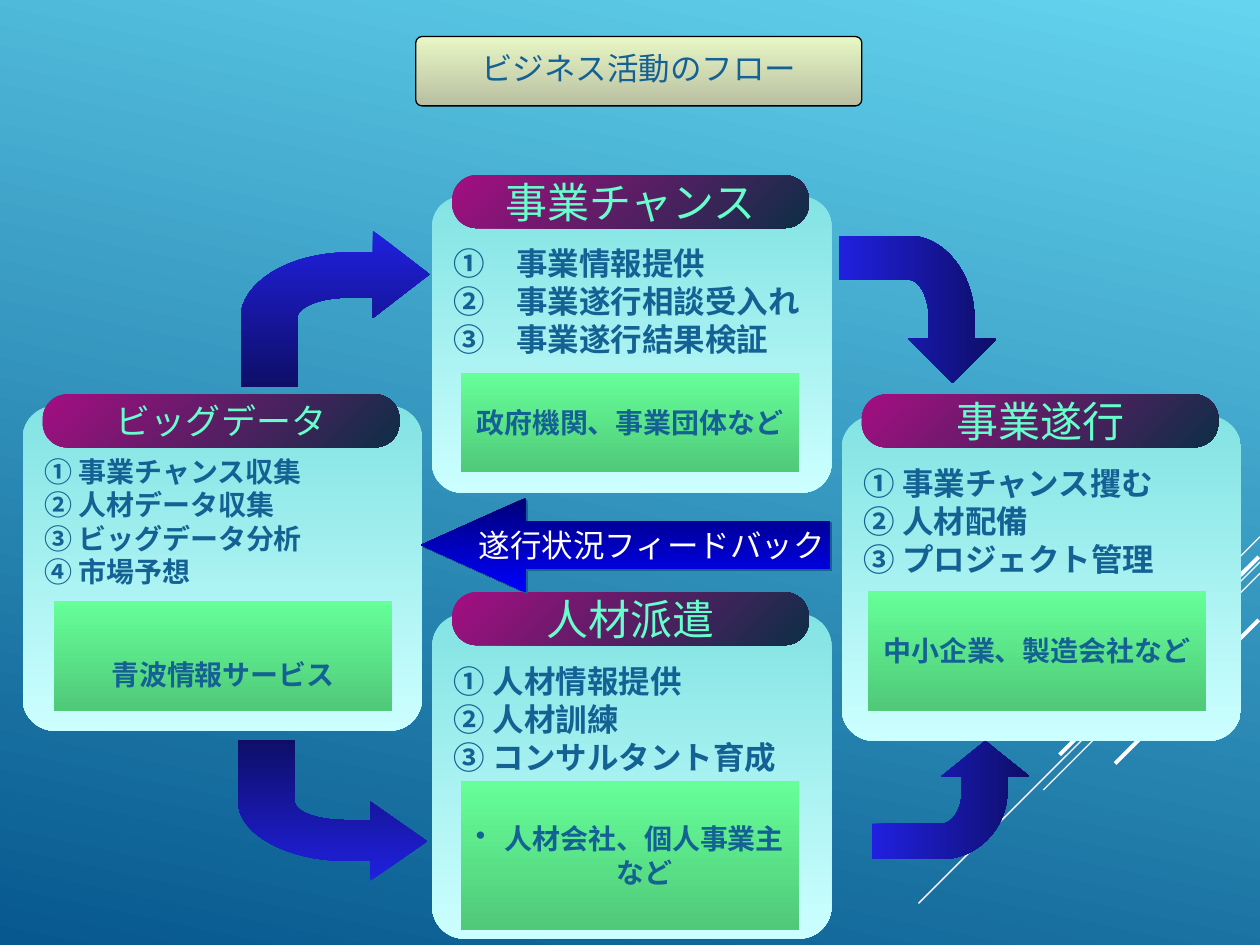
from lxml import etree
from pptx import Presentation, util as u
from pptx.dml.color import RGBColor
from pptx.enum import shapes, text
from pptx.oxml.ns import qn

hues = {
    "sky": ("64D4EF", "06588E"), "card": ("83E3E3", "CCFFFF"),
    "pill": ("A50E82", "0D2E46"), "green": ("66FF99", "50C979"),
    "bend": ("2020E0", "0E0E68"), "back": ("000076", "0000FF"),
    "title": ("E8F7C5", "B9BFA1"),
    "ink": "146194", "mint": "66FFCC", "white": "FFFFFF", "black": "000000",
}
sans, serif = "Noto Sans CJK JP", "Times New Roman"
kind = shapes.MSO_SHAPE
mid, top = text.MSO_ANCHOR.MIDDLE, text.MSO_ANCHOR.TOP

deck = Presentation()
deck.slide_width, deck.slide_height = u.Inches(10), u.Inches(7.5)
col, row = deck.slide_width / 100, deck.slide_height / 75
slide = deck.slides.add_slide(deck.slide_layouts[6])
items = slide.shapes


def paint(fill, pair, turn):
    fill.gradient()
    fill.gradient_angle = (360 - turn) % 360
    for stop, hue in zip(fill.gradient_stops, pair):
        stop.color.rgb = RGBColor.from_string(hue)


def block(form, x, y, w, h, tone, lines, size, ink="ink", turn=90, adj=(),
          face=sans, bold=False, wrap=True, anchor=mid, pad=0.05):
    shape = items.add_shape(form, int(x * col), int(y * row), int(w * col), int(h * row))
    for n, val in enumerate(adj):
        shape.adjustments[n] = val
    paint(shape.fill, hues[tone], turn)
    shape.line.fill.background()
    shape.shadow.inherit = False
    frame = shape.text_frame
    frame.text = "\n".join(lines)
    frame.word_wrap = wrap
    frame.vertical_anchor = anchor
    frame.margin_top = u.Inches(pad)
    for para in frame.paragraphs:
        para.alignment = text.PP_ALIGN.LEFT if anchor == top else text.PP_ALIGN.CENTER
        for run in para.runs:
            font = run.font
            font.size, font.bold, font.name = u.Pt(size), bold, face
            font.color.rgb = RGBColor.from_string(hues[ink])
            etree.SubElement(font._element, qn("a:ea")).set("typeface", sans)
    return shape


paint(slide.background.fill, hues["sky"], 102)

rays = [
    (100, 42.6, 91.7, 50.9, 0.75), (100, 44.6, 72.9, 71.7, 0.75),
    (100, 45.5, 82.8, 62.7, 0.75), (99.9, 44.2, 84.1, 59.9, 2.25),
    (99.9, 49.2, 88.5, 60.6, 2.25),
]
for x, y, x2, y2, wide in rays:
    ray = items.add_connector(shapes.MSO_CONNECTOR.STRAIGHT, int(x * col), int(y * row),
                              int(x2 * col), int(y2 * row))
    ray.line.color.rgb = RGBColor.from_string(hues["white"])
    ray.line.width = u.Pt(wide)
    etree.SubElement(ray._element.spPr, qn("a:effectLst"))

cards = [
    (34.3, 15.6, 23.5, 1.7, "事業チャンス", 24, serif, 18,
     ["①　事業情報提供", "②　事業遂行相談受入れ", "③　事業遂行結果検証"]),
    (66.8, 33, 25.8, 1.7, "事業遂行", 24, serif, 18,
     ["① 事業チャンス攫む", "② 人材配備", "③ プロジェクト管理"]),
    (34.3, 48.7, 25.8, 1.7, "人材派遣", 24, sans, 18,
     ["① 人材情報提供", "② 人材訓練", "③ コンサルタント育成"]),
    (1.8, 32.2, 25.8, 0.9, "ビッグデータ", 20, serif, 16,
     ["① 事業チャンス収集", "② 人材データ収集", "③ ビッグデータ分析", "④ 市場予想"]),
]
for x, y, h, lift, head, big, face, size, lines in cards:
    block(kind.ROUNDED_RECTANGLE, x, y, 31.7, h, "card", lines, size,
          adj=[0.1], face=face, bold=True, anchor=top, pad=0.31)
    block(kind.ROUNDED_RECTANGLE, x + 1.6, y - lift, 28.3, 4.2, "pill", [head], big,
          ink="mint", turn=45, adj=[0.46], wrap=False)

curve = [(1, 0.28), (0.7, 0), (0.7, 0.14)]
bows = [
    [(0.57, 0.14), (0.26, 0.14), (0, 0.33), (0, 0.56)],
    [(0.3, 0.56), (0.3, 0.49), (0.42, 0.43), (0.57, 0.43)],
]
steps = 16
for n, bow in enumerate(bows):
    for k in range(steps + 1):
        t = k / steps
        parts = ((1 - t) ** 3, 3 * t * (1 - t) ** 2, 3 * t * t * (1 - t), t ** 3)
        curve.append(tuple(sum(p * q[i] for p, q in zip(parts, bow)) for i in (0, 1)))
    curve += [[(0, 1), (0.3, 1)], [(0.7, 0.43), (0.7, 0.56)]][n]

bends = [
    (79.1, 18.7, (0, 11.7), (-12.5, 0), 0),
    (19.1, 18.3, (15, 0), (0, 12.4), 90),
    (18.9, 69.9, (15, 0), (0, -11.2), 270),
    (81.7, 68.2, (0, -9.4), (-12.5, 0), 0),
]
for x, y, along, over, turn in bends:
    dots = [((x + a * along[0] + b * over[0]) * col, (y + a * along[1] + b * over[1]) * row)
            for a, b in curve]
    pen = items.build_freeform(*dots[0])
    pen.add_line_segments(dots[1:], close=True)
    bend = pen.convert_to_shape()
    paint(bend.fill, hues["bend"], turn)
    bend.line.fill.background()
    bend.shadow.inherit = False

greens = [
    (36.6, 29.6, 7.9, "政府機関、事業団体など", 0.05),
    (68.9, 46.9, 9.5, "中小企業、製造会社など", 0.05),
    (4.3, 47.7, 8.7, "青波情報サービス", 0.34),
    (36.6, 62, 11.8, "人材会社、個人事業主など", 0.05),
]
for x, y, h, words, pad in greens:
    green = block(kind.RECTANGLE, x, y, 26.8, h, "green", [words], 16, bold=True, pad=pad)
props = green.text_frame.paragraphs[0]._p.get_or_add_pPr()
props.set("marL", str(u.Inches(0.23)))
props.set("indent", str(-u.Inches(0.23)))
etree.SubElement(props, qn("a:buChar")).set("char", "•")

back = block(kind.LEFT_ARROW, 33.4, 39.5, 32.5, 7.5, "back", ["遂行状況フィードバック"], 18,
             ink="white", adj=[0.5, 1.11], wrap=False)
shade = etree.SubElement(back._element.spPr.find(qn("a:effectLst")), qn("a:outerShdw"))
shade.set("dist", str(u.Pt(1.4)))
shade.set("dir", "2700000")
etree.SubElement(shade, qn("a:srgbClr")).set("val", hues["ink"])

title = block(kind.ROUNDED_RECTANGLE, 33, 2.9, 35.4, 5.5, "title", ["ビジネス活動のフロー"], 18,
              adj=[0.09], wrap=False)
title.line.color.rgb = RGBColor.from_string(hues["black"])
title.line.width = u.Pt(0.75)
title.text_frame.paragraphs[0].line_spacing = 0.8

deck.save("out.pptx")
